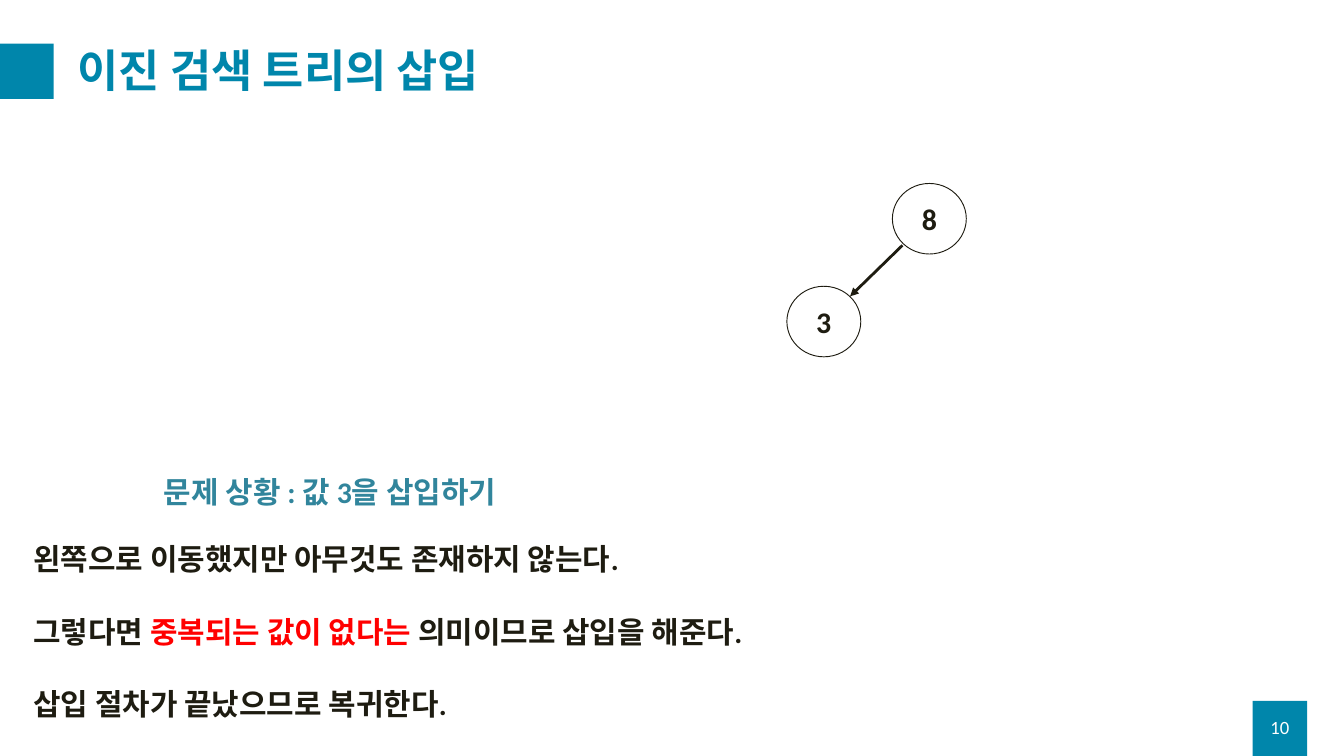
from lxml.etree import SubElement
from pptx import Presentation
from pptx.dml.color import RGBColor
from pptx.enum.shapes import MSO_CONNECTOR, MSO_SHAPE
from pptx.enum.text import MSO_ANCHOR, PP_ALIGN
from pptx.oxml.ns import qn
from pptx.util import Pt

PX = 9144  # 100 px to the inch
TEAL = RGBColor(0x00, 0x86, 0xAB)
BLUE = RGBColor(0x31, 0x85, 0x9C)
INK = RGBColor(0x1E, 0x1C, 0x11)
RED = RGBColor(0xFF, 0x00, 0x00)
WHITE = RGBColor(0xFF, 0xFF, 0xFF)


def box(*lengths):
    return [n * PX for n in lengths]


def write(sp, *paragraphs, size=32, color=INK, bold=True, align=PP_ALIGN.LEFT,
          anchor=MSO_ANCHOR.TOP, gap=0, spacing=None):
    """Each paragraph is a string or a list of (text, color) runs."""
    tf = sp.text_frame
    tf.word_wrap = True
    tf.vertical_anchor = anchor
    for i, runs in enumerate(paragraphs):
        p = tf.add_paragraph() if i else tf.paragraphs[0]
        p.alignment = align
        if spacing:
            p.line_spacing = spacing
        if i and gap:
            p.space_before = Pt(gap)
        for text, run_color in [(runs, color)] if isinstance(runs, str) else runs:
            r = p.add_run()
            r.text = text
            r.font.name = "Calibri"
            r.font.size = Pt(size)
            r.font.bold = bold
            r.font.color.rgb = run_color


prs = Presentation()
prs.slide_width, prs.slide_height = box(2000, 1125)
s = prs.slides.add_slide(prs.slide_layouts[6])

# Teal squares: page number and title marker
for x, y in [(1864, 1043), (-1, 65)]:
    sp = s.shapes.add_shape(MSO_SHAPE.RECTANGLE, *box(x, y, 81, 82))
    sp.shadow.inherit = False
    sp.fill.solid()
    sp.fill.fore_color.rgb = TEAL
    sp.line.fill.background()

# Title and page number
write(s.shapes.add_textbox(*box(106, 50, 1825, 118)), "이진 검색 트리의 삽입",
      size=48, color=TEAL, anchor=MSO_ANCHOR.MIDDLE, spacing=0.9)
write(s.shapes.add_textbox(*box(1864, 1052, 81, 60)), "10", size=20, color=WHITE,
      bold=False, align=PP_ALIGN.CENTER, anchor=MSO_ANCHOR.MIDDLE)

# Problem and explanation
write(s.shapes.add_textbox(*box(234, 700, 580, 64)), "문제 상황 : 값 3을 삽입하기",
      color=BLUE)
write(s.shapes.add_textbox(*box(40, 800, 1186, 279)),
      "왼쪽으로 이동했지만 아무것도 존재하지 않는다.",
      [("그렇다면 ", INK), ("중복되는 값이 없다는 ", RED),
       ("의미이므로 삽입을 해준다.", INK)],
      "삽입 절차가 끝났으므로 복귀한다.",
      gap=39)

# Tree nodes
for value, x, y in [("8", 1328, 273), ("3", 1171, 426)]:
    sp = s.shapes.add_shape(MSO_SHAPE.OVAL, *box(x, y, 110, 105))
    sp.shadow.inherit = False
    sp.fill.solid()
    sp.fill.fore_color.rgb = WHITE
    sp.line.color.rgb = INK
    sp.line.width = Pt(1)
    write(sp, value, align=PP_ALIGN.CENTER, anchor=MSO_ANCHOR.MIDDLE)

# Arrow from parent to left child
cn = s.shapes.add_connector(MSO_CONNECTOR.STRAIGHT, *box(1343, 365, 1265, 441))
cn.line.color.rgb = INK
cn.line.width = Pt(3)
SubElement(cn.line._get_or_add_ln(), qn("a:tailEnd"), type="triangle")
SubElement(cn._element.spPr, qn("a:effectLst"))

prs.save("out.pptx")
